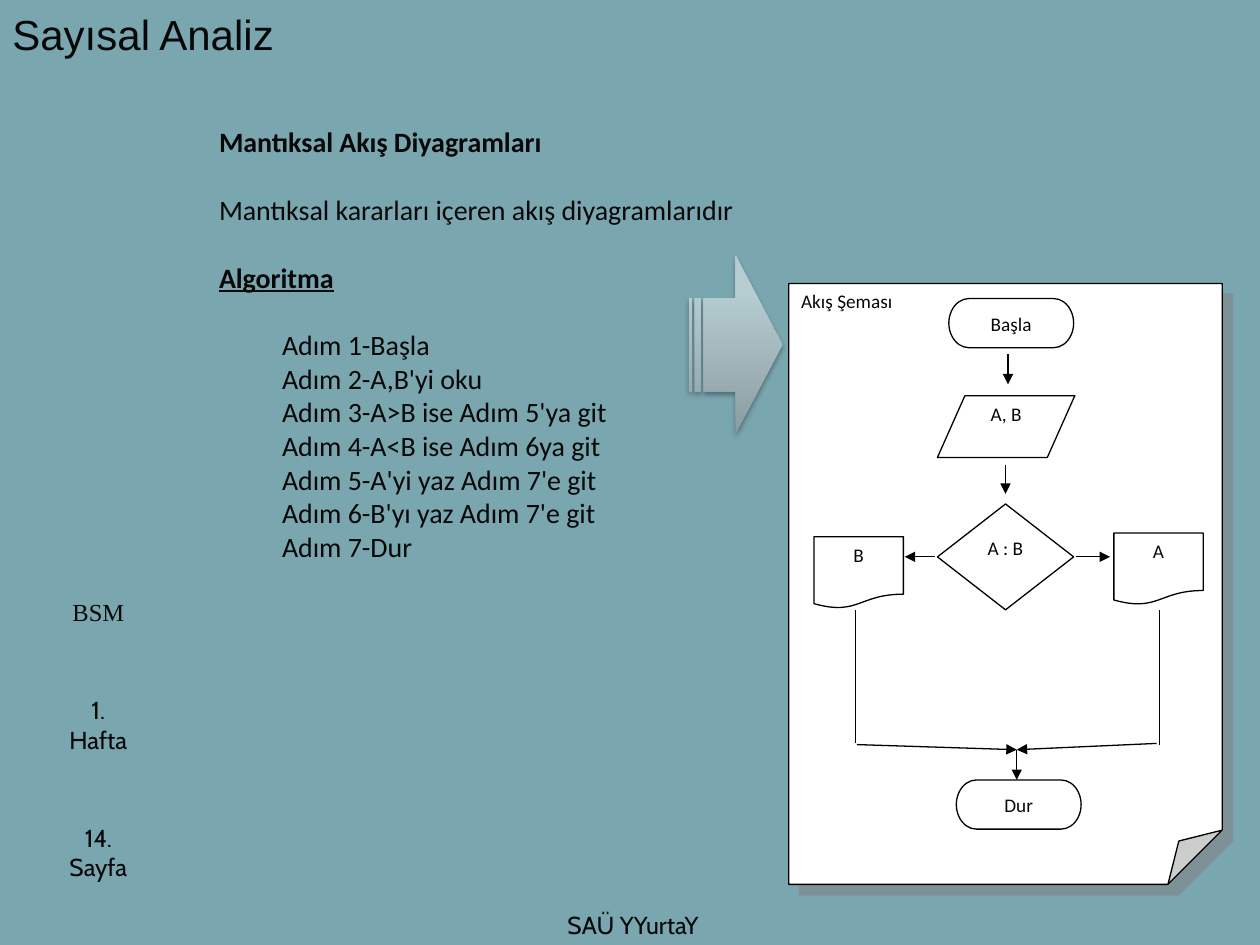
from lxml.etree import SubElement
from pptx import Presentation
from pptx.dml.color import RGBColor
from pptx.enum.shapes import MSO_CONNECTOR, MSO_SHAPE
from pptx.enum.text import MSO_ANCHOR, PP_ALIGN
from pptx.oxml.ns import qn
from pptx.util import Pt

BACKGROUND = RGBColor(0x7A, 0xA6, 0xB0)
INK = RGBColor(0x08, 0x08, 0x08)
BLACK = RGBColor(0, 0, 0)
WHITE = RGBColor(0xFF, 0xFF, 0xFF)
ARROW_DARK = RGBColor(0x8B, 0x9D, 0xA1)
ARROW_LIGHT = RGBColor(0xB5, 0xCC, 0xD1)

BODY_SIZE = 16
BODY_GAP = 19.5  # one line of body text
HEADINGS = [  # text, bold, underlined
    ("Mantıksal Akış Diyagramları", True, False),
    ("Mantıksal kararları içeren akış diyagramlarıdır", False, False),
    ("Algoritma", True, True),
]
STEPS = [
    "Adım 1-Başla",
    "Adım 2-A,B'yi oku",
    "Adım 3-A>B ise Adım 5'ya git",
    "Adım 4-A<B ise Adım 6ya git",
    "Adım 5-A'yi yaz Adım 7'e git",
    "Adım 6-B'yı yaz Adım 7'e git",
    "Adım 7-Dur",
]

# lines, box (left, top, width, height), font, size, alignment, anchor
LABELS = [
    (["Sayısal Analiz"], (0, 0, 581, 38.9), "Arial", 24, PP_ALIGN.LEFT, MSO_ANCHOR.MIDDLE),
    (["SAÜ YYurtaY"], (247.7, 516.2, 228.2, 37.4), "Cabin", 14, PP_ALIGN.CENTER, MSO_ANCHOR.TOP),
    (["BSM"], (28.1, 337.7, 56.2, 33.8), "Times New Roman", 14, PP_ALIGN.CENTER, MSO_ANCHOR.TOP),
    (["1.", "Hafta"], (28.1, 393.8, 56.2, 50.4), "Cabin", 14, PP_ALIGN.CENTER, MSO_ANCHOR.TOP),
    (["14.", "Sayfa"], (28.1, 466.6, 56.2, 45.4), "Cabin", 14, PP_ALIGN.CENTER, MSO_ANCHOR.TOP),
]

BIG_ARROW = (393.8, 146.2, 53.3, 101.5)
PAGE = (450.7, 162, 247.7, 343.4)
TERMINATOR = (71.3, 28.1)
DOCUMENT = (51.1, 41)
NODES = [  # text, shape, corner, size
    ("Başla", MSO_SHAPE.FLOWCHART_TERMINATOR, (542.2, 170.6), TERMINATOR),
    ("A, B", MSO_SHAPE.FLOWCHART_DATA, (535.7, 226.1), (78.5, 35.3)),
    ("A : B", MSO_SHAPE.FLOWCHART_DECISION, (535.7, 288), (77.8, 60.5)),
    ("A", MSO_SHAPE.FLOWCHART_DOCUMENT, (636.5, 304.6), DOCUMENT),
    ("B", MSO_SHAPE.FLOWCHART_DOCUMENT, (465.1, 306.7), DOCUMENT),
    ("Dur", MSO_SHAPE.FLOWCHART_TERMINATOR, (546.5, 445.7), TERMINATOR),
]
JOIN = (581, 428.4)
FLOWS = [  # start, end, arrowhead
    ((576, 202.3), (576, 219.6), True),
    ((574.6, 265.7), (574.6, 282.2), True),
    ((614.9, 318.2), (634.3, 318.2), True),
    ((534.2, 318.2), (517, 318.2), True),
    ((662.4, 348.5), (662.4, 425.5), False),
    ((488.9, 348.5), (488.9, 424.8), False),
    ((489.6, 425.5), JOIN, True),
    ((661, 424.8), JOIN, True),
    (JOIN, (581, 445.7), True),
]


def points(values):
    return [Pt(v) for v in values]


def style(p, font, size, align=PP_ALIGN.LEFT, bold=False, underline=False):
    p.alignment = align
    for r in p.runs:
        r.font.name, r.font.size = font, Pt(size)
        r.font.bold, r.font.underline = bold, underline
        r.font.color.rgb = INK


def add_text_box(slide, box, lines, anchor=MSO_ANCHOR.TOP):
    tf = slide.shapes.add_textbox(*points(box)).text_frame
    tf.word_wrap = True
    tf.vertical_anchor = anchor
    tf.text = "\n".join(lines)
    return tf.paragraphs


def add_flow_shape(slide, kind, box, text, align=PP_ALIGN.CENTER):
    s = slide.shapes.add_shape(kind, *points(box))
    s.shadow.inherit = False
    s.fill.solid()
    s.fill.fore_color.rgb = WHITE
    s.line.color.rgb = BLACK
    s.line.width = Pt(0.75)
    tf = s.text_frame
    tf.vertical_anchor = MSO_ANCHOR.TOP
    tf.text = text
    style(tf.paragraphs[0], "Calibri", 11, align)
    return s


def add_flow_line(slide, start, end, arrowhead):
    c = slide.shapes.add_connector(MSO_CONNECTOR.STRAIGHT, *points(start + end))
    c.line.color.rgb = BLACK
    c.line.width = Pt(0.75)
    spPr = c._element.spPr
    if arrowhead:
        SubElement(spPr.find(qn("a:ln")), qn("a:tailEnd"), type="triangle")
    SubElement(spPr, qn("a:effectLst"))


def cast_shadow(s, color, opacity, blur, distance, angle):
    """Give a shape an outer shadow; opacity in percent, angle in degrees."""
    s.shadow.inherit = False
    effects = s._element.spPr.find(qn("a:effectLst"))
    shadow = SubElement(effects, qn("a:outerShdw"), blurRad=str(Pt(blur)),
                        dist=str(Pt(distance)), dir=str(angle * 60000),
                        algn="ctr", rotWithShape="0")
    clr = SubElement(shadow, qn("a:srgbClr"), val=color)
    SubElement(clr, qn("a:alpha"), val=str(opacity * 1000))


def add_body(slide):
    lines = [text for text, _, _ in HEADINGS] + STEPS
    paragraphs = add_text_box(slide, (118.1, 67.7, 585.4, 444.2), lines)
    for i, p in enumerate(paragraphs):
        if i < len(HEADINGS):
            _, bold, underline = HEADINGS[i]
            style(p, "Calibri", BODY_SIZE, bold=bold, underline=underline)
        else:
            style(p, "Calibri", BODY_SIZE)
            p.level = 1
            p._p.get_or_add_pPr().set("marL", str(Pt(36)))
        if 0 < i <= len(HEADINGS):
            p.space_before = Pt(BODY_GAP)


def add_big_arrow(slide):
    s = slide.shapes.add_shape(MSO_SHAPE.STRIPED_RIGHT_ARROW, *points(BIG_ARROW))
    s.adjustments[0] = 0.525
    s.adjustments[1] = 0.5
    s.fill.gradient()
    s.fill.gradient_angle = 90
    stops = zip(s.fill.gradient_stops, (0, 0.8), (ARROW_DARK, ARROW_LIGHT))
    for stop, position, color in stops:
        stop.position = position
        stop.color.rgb = color
    s.line.fill.background()
    cast_shadow(s, "000000", 35, 3.1, 1.8, 90)


def add_flowchart(slide):
    page = add_flow_shape(slide, MSO_SHAPE.FOLDED_CORNER, PAGE, "Akış Şeması", PP_ALIGN.LEFT)
    guides = page._element.spPr.find(qn("a:prstGeom")).get_or_add_avLst()
    SubElement(guides, qn("a:gd"), name="adj", fmla="val 12500")
    cast_shadow(page, "808080", 50, 0, 8.5, 45)
    for text, kind, corner, size in NODES:
        add_flow_shape(slide, kind, corner + size, text)
    for flow in FLOWS:
        add_flow_line(slide, *flow)


def main():
    prs = Presentation()
    prs.slide_width, prs.slide_height = Pt(720), Pt(540)
    slide = prs.slides.add_slide(prs.slide_layouts[6])
    slide.background.fill.solid()
    slide.background.fill.fore_color.rgb = BACKGROUND
    for lines, box, font, size, align, anchor in LABELS:
        for p in add_text_box(slide, box, lines, anchor):
            style(p, font, size, align)
    add_body(slide)
    add_big_arrow(slide)
    add_flowchart(slide)
    prs.save("out.pptx")


if __name__ == "__main__":
    main()
